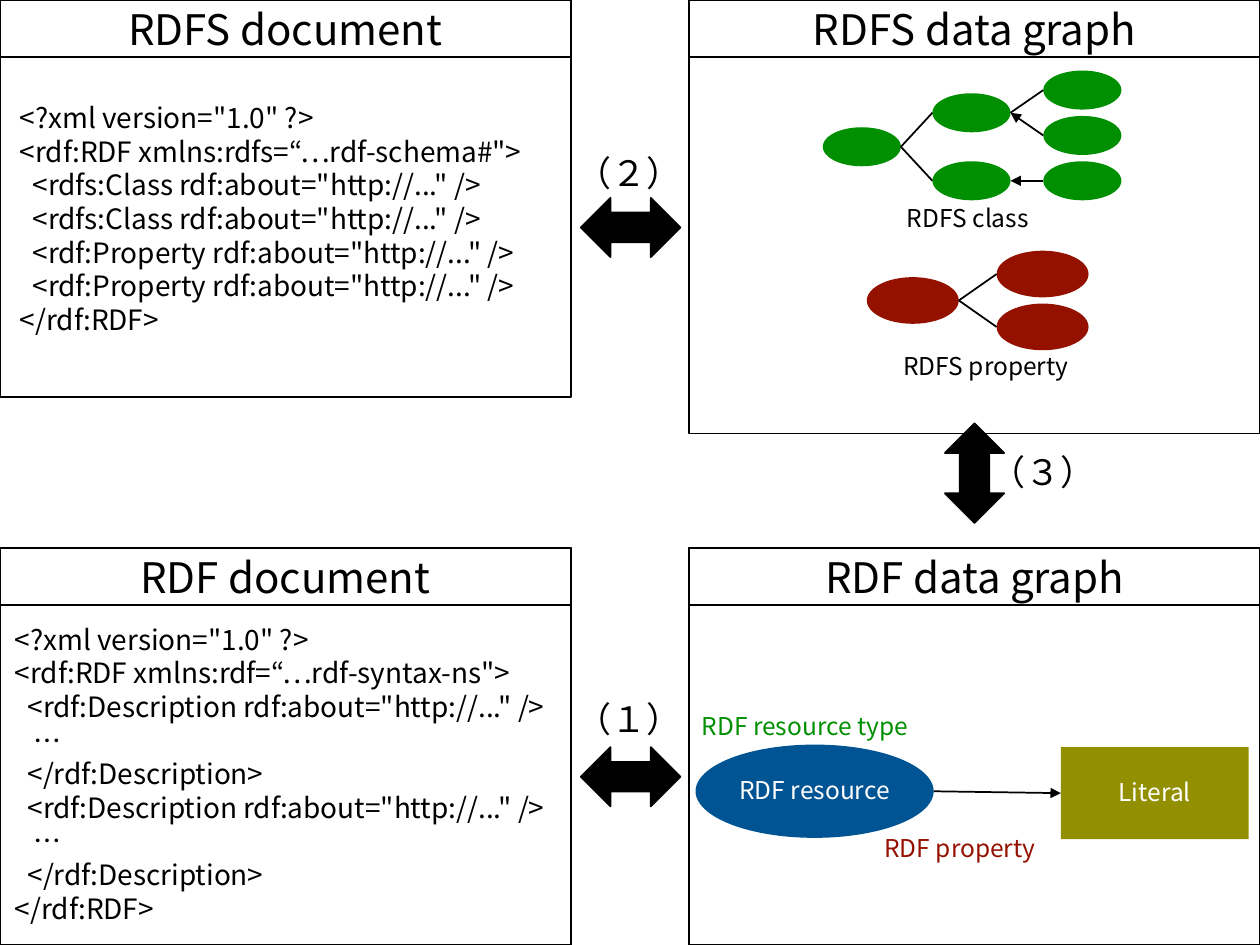
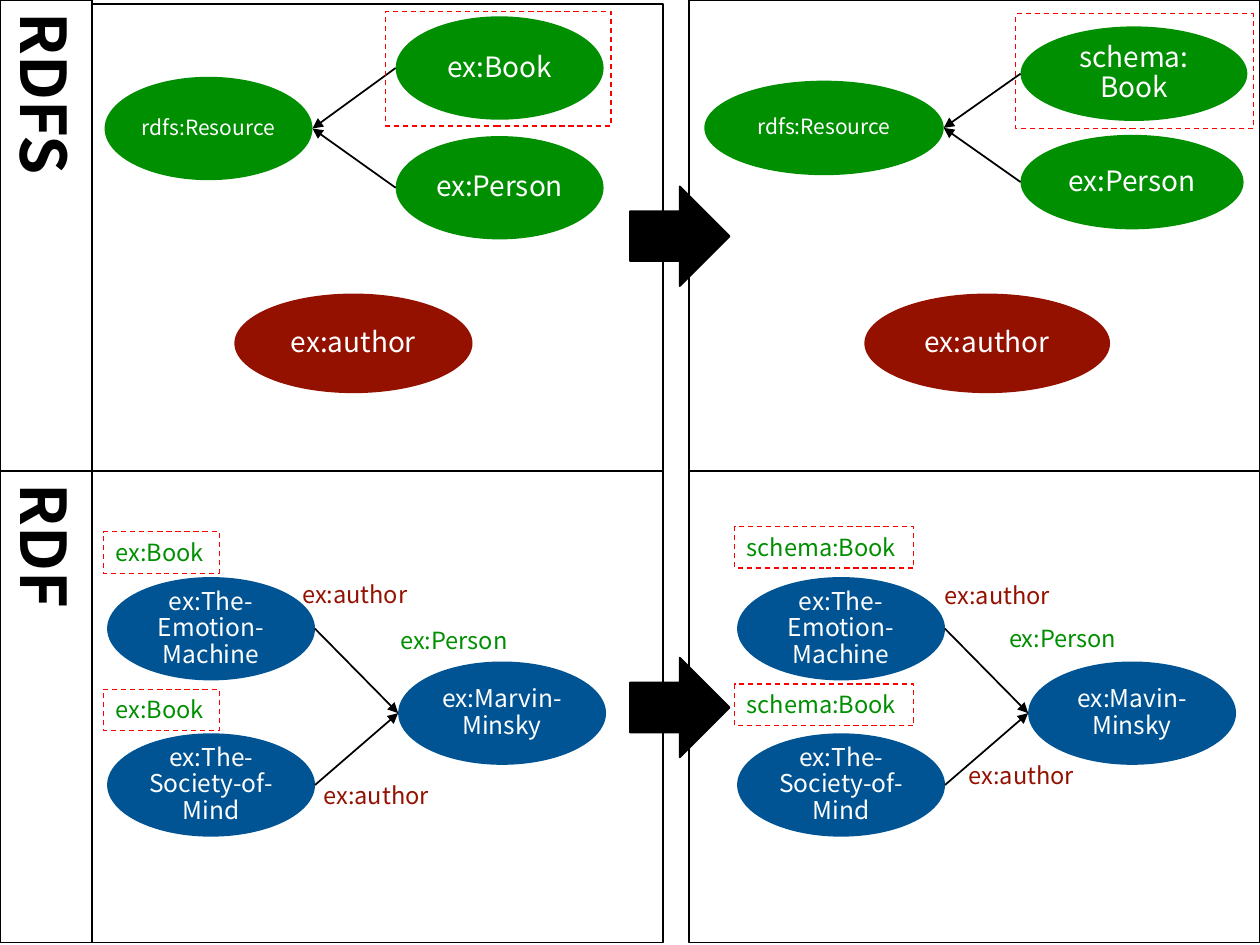
"""Build two slides on RDF and RDFS documents, graphs and vocabulary replacement."""
import pptx
import pptx.dml.color
import pptx.enum.dml
import pptx.enum.shapes
import pptx.enum.text
import pptx.oxml
import pptx.oxml.ns
import pptx.util
import lxml.etree

Inches = pptx.util.Inches
Points = pptx.util.Pt
Shapes = pptx.enum.shapes.MSO_SHAPE
Align = pptx.enum.text.PP_ALIGN
Anchor = pptx.enum.text.MSO_ANCHOR
qualified = pptx.oxml.ns.qn

FONT = "Noto Sans CJK JP"
COLORS = {"black": "000000", "white": "FFFFFF", "class": "008F00", "property": "941100",
          "resource": "005493", "literal": "929000", "highlight": "FF0000"}
INSETS = ("margin_left", "margin_top", "margin_right", "margin_bottom")
PANEL_WIDTH, RIGHT_PANEL = 4.53, 5.47

DOCUMENT_PANELS = [
    ("RDFS document", 0, 0, 0), ("RDF document", 0, 4.35, 4.35),
    ("RDFS data graph", RIGHT_PANEL, 0, 0.29), ("RDF data graph", RIGHT_PANEL, 4.35, 4.35),
]
DOCUMENT_ARROWS = [
    (Shapes.LEFT_RIGHT_ARROW, 4.61, 1.57, 0.79, 0.47),
    (Shapes.LEFT_RIGHT_ARROW, 4.61, 5.93, 0.79, 0.47),
    (Shapes.UP_DOWN_ARROW, 7.5, 3.36, 0.47, 0.79),
]
DOCUMENT_LABELS = [
    ("（１）", 4.48, 5.49, 1.04, 0.44, 20, "black"),
    ("（２）", 4.48, 1.15, 1.04, 0.44, 20, "black"),
    ("（３）", 7.76, 3.53, 1.04, 0.44, 20, "black"),
    ("RDF property", 6.92, 6.56, 1.49, 0.34, 14, "property"),
    ("RDFS class", 7.1, 1.56, 1.26, 0.34, 14, "black"),
    ("RDFS property", 7.07, 2.74, 1.62, 0.34, 14, "black"),
    ("RDF resource type", 5.47, 5.59, 1.99, 0.34, 14, "class"),
]
DESCRIPTION = [(2, '<rdf:Description rdf:about="http://..." />'), (3, "…"),
               (2, "</rdf:Description>")]
LISTINGS = [
    ((0.06, 0.75, 4.35, 1.99), [
        (0, '<?xml version="1.0" ?>'),
        (0, '<rdf:RDF xmlns:rdfs=“…rdf-schema#">'),
        *[(2, '<rdfs:Class rdf:about="http://..." />')] * 2,
        *[(2, '<rdf:Property rdf:about="http://..." />')] * 2,
        (0, "</rdf:RDF>")]),
    ((0.02, 4.89, 4.59, 2.52), [
        (0, '<?xml version="1.0" ?>'),
        (0, '<rdf:RDF xmlns:rdf=“…rdf-syntax-ns">'),
        *DESCRIPTION * 2,
        (0, "</rdf:RDF>")]),
]
CLASS_SIZE, PROPERTY_SIZE = (0.62, 0.31), (0.73, 0.37)
DOCUMENT_NODES = {
    "literal": ("Literal", 8.42, 5.93, 1.49, 0.73, "literal", 14),
    "resource": ("RDF resource", 5.52, 5.91, 1.89, 0.74, "resource", 14),
    "class root": ("", 6.53, 1.01, *CLASS_SIZE, "class", 14),
    "class upper": ("", 7.4, 0.74, *CLASS_SIZE, "class", 14),
    "class lower": ("", 7.4, 1.28, *CLASS_SIZE, "class", 14),
    "class leaf 1": ("", 8.28, 0.56, *CLASS_SIZE, "class", 14),
    "class leaf 2": ("", 8.28, 0.92, *CLASS_SIZE, "class", 14),
    "class leaf 3": ("", 8.28, 1.28, *CLASS_SIZE, "class", 14),
    "property root": ("", 6.88, 2.2, *PROPERTY_SIZE, "property", 14),
    "property upper": ("", 7.91, 1.99, *PROPERTY_SIZE, "property", 14),
    "property lower": ("", 7.91, 2.41, *PROPERTY_SIZE, "property", 14),
}
DOCUMENT_LINKS = [
    ("resource", "literal", "child"),
    ("class root", "class upper", None), ("class root", "class lower", None),
    ("class upper", "class leaf 1", None), ("class upper", "class leaf 2", "parent"),
    ("class lower", "class leaf 3", "parent"),
    ("property root", "property upper", None), ("property root", "property lower", None),
]

ROWS = [("RDFS", 0), ("RDF", 3.74)]
ROW_HEIGHT, HEADING_WIDTH = 3.74, 0.73
BUBBLE = (1.65, 0.82)
SCHEMA_NODES = [
    {"root": ("rdfs:Resource", 0.83, 0.61, *BUBBLE, "class", 12),
     "book": ("ex:Book", 3.14, 0.13, *BUBBLE, "class", 16),
     "person": ("ex:Person", 3.14, 1.08, *BUBBLE, "class", 16),
     "author": ("ex:author", 1.86, 2.33, 1.89, 0.79, "property", 16)},
    {"root": ("rdfs:Resource", 5.59, 0.64, 1.9, 0.75, "class", 12),
     "book": ("schema:\vBook", 8.1, 0.21, 1.8, 0.75, "class", 16),
     "person": ("ex:Person", 8.1, 1.07, 1.77, 0.75, "class", 16),
     "author": ("ex:author", 6.86, 2.33, 1.95, 0.79, "property", 16)},
]
SCHEMA_LINKS = [("root", "book", "parent"), ("root", "person", "parent")]
DATA_SIDES = [(0, "ex:Marvin-Minsky"), (5, "ex:Mavin-Minsky")]
DATA_LINKS = [("emotion", "minsky", "child"), ("society", "minsky", "child")]
DATA_LABELS = [
    ("ex:author", 2.3, 4.55, 1.05, 0.33, 13.5, "property"),
    ("ex:author", 2.47, 6.15, 1.05, 0.33, 13.5, "property"),
    ("ex:Person", 3.08, 4.92, 1.09, 0.33, 13.5, "class"),
    ("ex:author", 7.4, 4.56, 1.05, 0.33, 13.5, "property"),
    ("ex:author", 7.59, 5.99, 1.05, 0.33, 13.5, "property"),
    ("ex:Person", 7.91, 4.9, 1.09, 0.33, 13.5, "class"),
]
HIGHLIGHTS = [
    ("", 3.06, 0.09, 1.79, 0.91), ("", 8.06, 0.11, 1.89, 0.91),
    ("ex:Book", 0.82, 4.22, 0.92, 0.33), ("ex:Book", 0.82, 5.47, 0.92, 0.33),
    ("schema:Book", 5.83, 4.18, 1.42, 0.33), ("schema:Book", 5.83, 5.43, 1.42, 0.33),
]


def color(name):
    return pptx.dml.color.RGBColor.from_string(COLORS[name])


def set_values(target, values):
    for name, value in values.items():
        setattr(target, name, value)


def write(shape, lines, size, ink, frame_values, paragraph_values, bold=False):
    """Write (indent in spaces, text) lines in one style."""
    frame = shape.text_frame
    set_values(frame, frame_values)
    for index, (indent, text) in enumerate(lines):
        paragraph = frame.add_paragraph() if index else frame.paragraphs[0]
        paragraph.text = text
        set_values(paragraph, paragraph_values)
        if indent:
            properties = paragraph._p.get_or_add_pPr()
            properties.set("marL", str(Inches(indent * 0.05)))
            properties.set("indent", "0")
        for run in paragraph.runs:
            set_values(run.font, {"name": FONT, "size": Points(size), "bold": bold})
            run.font.color.rgb = color(ink)
            east_asian = lxml.etree.SubElement(run._r.get_or_add_rPr(), qualified("a:ea"))
            east_asian.set("typeface", FONT)


def add_shape(slide, kind, box, fill=None, line=None, width=1):
    shape = slide.shapes.add_shape(kind, *map(Inches, box))
    shape.shadow.inherit = False
    for part, name in ((shape.fill, fill), (shape.line.fill, line)):
        if name:
            part.solid()
            part.fore_color.rgb = color(name)
        else:
            part.background()
    if line:
        shape.line.width = Points(width)
    return shape


def add_panel(slide, box):
    return add_shape(slide, Shapes.RECTANGLE, box, "white", "black")


def add_heading(slide, text, box, size, bold=False):
    heading = add_panel(slide, box)
    write(heading, [(0, text)], size, "black",
          {"word_wrap": True, "vertical_anchor": Anchor.MIDDLE},
          {"alignment": Align.CENTER}, bold)
    return heading


def write_label(shape, text, size, ink):
    write(shape, [(0, text)], size, ink,
          {"word_wrap": False, "vertical_anchor": Anchor.TOP,
           "auto_size": pptx.enum.text.MSO_AUTO_SIZE.SHAPE_TO_FIT_TEXT},
          {"alignment": Align.LEFT})


def add_labels(slide, labels):
    for text, left, top, width, height, size, ink in labels:
        box = slide.shapes.add_textbox(*map(Inches, (left, top, width, height)))
        write_label(box, text, size, ink)


def add_link(slide, start, end, arrow):
    connector = slide.shapes.add_connector(
        pptx.enum.shapes.MSO_CONNECTOR.STRAIGHT, *map(Inches, (*start, *end)))
    connector.line.color.rgb = color("black")
    connector.line.width = Points(1)
    properties = connector._element.spPr
    if arrow:
        tip = lxml.etree.SubElement(properties.find(qualified("a:ln")), qualified("a:tailEnd"))
        tip.set("type", "triangle")
    lxml.etree.SubElement(properties, qualified("a:effectLst"))


def add_graph(slide, nodes, links):
    for text, left, top, width, height, fill, size in nodes.values():
        kind = Shapes.RECTANGLE if fill == "literal" else Shapes.OVAL
        shape = add_shape(slide, kind, (left, top, width, height), fill)
        if text:
            write(shape, [(0, text)], size, "white",
                  {"word_wrap": True, "vertical_anchor": Anchor.MIDDLE,
                   **dict.fromkeys(INSETS, Inches(0.01))},
                  {"alignment": Align.CENTER, "line_spacing": 0.9})
    for parent, child, tip in links:
        _, left, top, width, height, *_ = nodes[parent]
        start = (left + width, top + height / 2)
        _, left, top, width, height, *_ = nodes[child]
        end = (left, top + height / 2)
        if tip == "parent":
            start, end = end, start
        add_link(slide, start, end, tip)


def build_documents(slide):
    for _, left, _, top in DOCUMENT_PANELS:
        add_panel(slide, (left, top, PANEL_WIDTH, 3.15))
    for title, left, top, _ in DOCUMENT_PANELS:
        add_heading(slide, title, (left, top, PANEL_WIDTH, 0.45), 24)
    for kind, *box in DOCUMENT_ARROWS:
        add_shape(slide, kind, box, "black", "black")
    add_graph(slide, DOCUMENT_NODES, DOCUMENT_LINKS)
    add_labels(slide, DOCUMENT_LABELS)
    for box, lines in LISTINGS:
        listing = slide.shapes.add_textbox(*map(Inches, box))
        write(listing, lines, 16, "black", {"word_wrap": True}, {"alignment": Align.LEFT})


def build_replacement(slide):
    for (name, top), panel_top in zip(ROWS, (0.03, 3.74)):
        add_panel(slide, (HEADING_WIDTH, panel_top, PANEL_WIDTH, ROW_HEIGHT))
        heading = add_heading(slide, name, (0, top, HEADING_WIDTH, ROW_HEIGHT), 36, True)
        heading.text_frame._txBody.bodyPr.set("vert", "eaVert")
        add_panel(slide, (RIGHT_PANEL, top, PANEL_WIDTH, ROW_HEIGHT))
    for _, top in ROWS:
        add_shape(slide, Shapes.RIGHT_ARROW, (5, top + 1.48, 0.79, 0.79), "black", "black")
    for nodes in SCHEMA_NODES:
        add_graph(slide, nodes, SCHEMA_LINKS)
    for offset, person in DATA_SIDES:
        add_graph(slide, {
            "minsky": (person, offset + 3.16, 5.25, *BUBBLE, "resource", 14),
            "emotion": ("ex:The-Emotion-Machine", offset + 0.85, 4.58, *BUBBLE, "resource", 14),
            "society": ("ex:The-Society-of-Mind", offset + 0.85, 5.82, *BUBBLE, "resource", 14),
        }, DATA_LINKS)
    add_labels(slide, DATA_LABELS)
    for text, *box in HIGHLIGHTS:
        frame = add_shape(slide, Shapes.RECTANGLE, box, None, "highlight", 0.75)
        frame.line.dash_style = pptx.enum.dml.MSO_LINE.DASH
        if text:
            write_label(frame, text, 13.5, "class")


presentation = pptx.Presentation()
set_values(presentation, {"slide_width": Inches(10), "slide_height": Inches(7.5)})
for build in (build_documents, build_replacement):
    build(presentation.slides.add_slide(presentation.slide_layouts[6]))
presentation.save("out.pptx")
